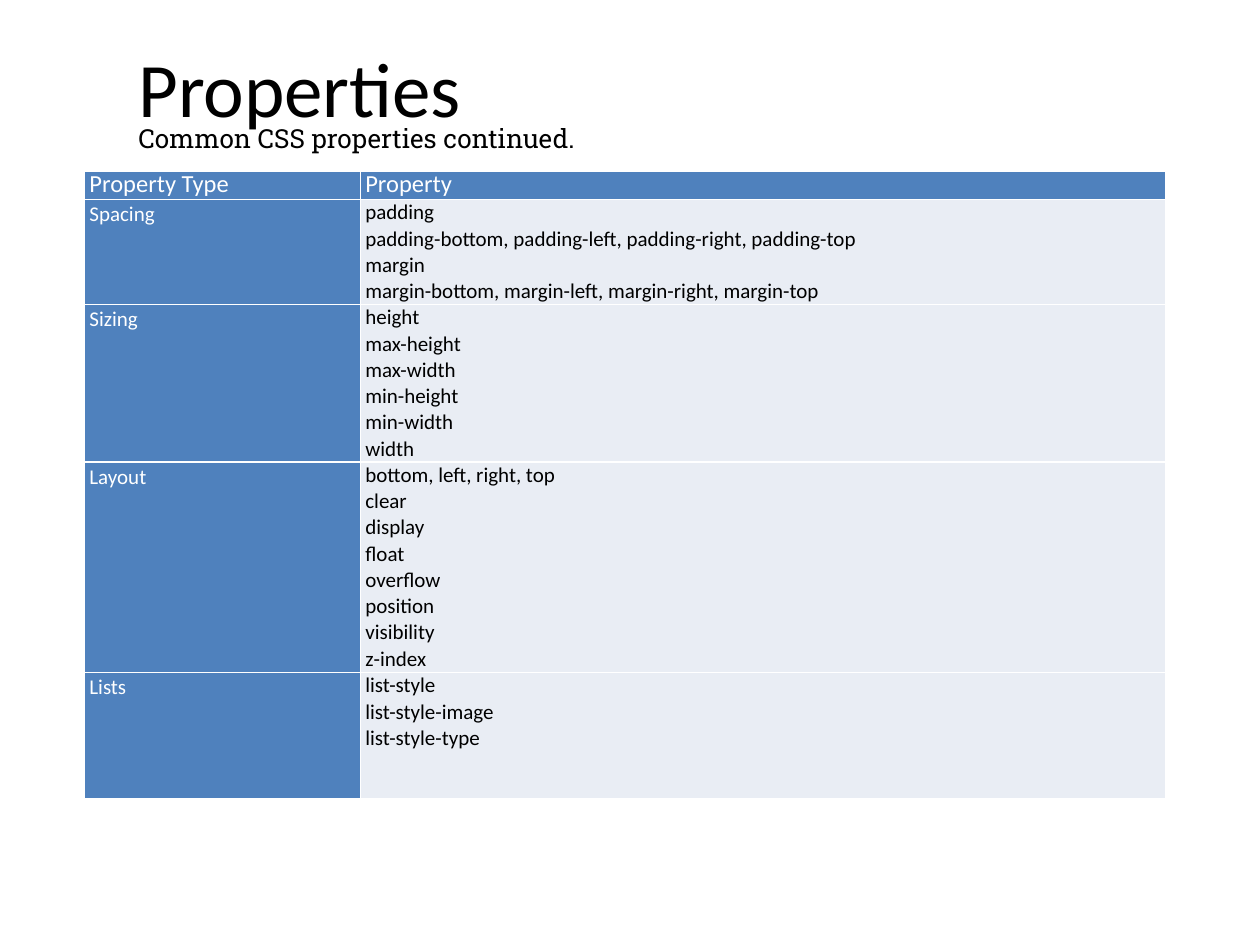
from lxml.etree import SubElement
from pptx import Presentation
from pptx.dml.color import RGBColor
from pptx.enum.text import MSO_ANCHOR
from pptx.oxml.ns import qn
from pptx.util import Inches, Pt

COLORS = {"blue": "4F81BD", "pale": "E9EDF4", "white": "FFFFFF", "black": "000000"}
HEADS = ["Property Type", "Property"]
GROUPS = {
    "Spacing": [
        "padding",
        "padding-bottom, padding-left, padding-right, padding-top",
        "margin",
        "margin-bottom, margin-left, margin-right, margin-top",
    ],
    "Sizing": ["height", "max-height", "max-width", "min-height", "min-width", "width"],
    "Layout": [
        "bottom, left, right, top", "clear", "display", "float",
        "overflow", "position", "visibility", "z-index",
    ],
    "Lists": ["list-style", "list-style-image", "list-style-type"],
}
COLS = [2.19, 6.39]
ROWS = [0.22, 0.83, 1.25, 1.67, 1]


def write(frame, lines, size, color, face="Calibri", pitch=None):
    """Fill a text frame with one paragraph per line."""
    frame.text = "\n".join(lines)
    for para in frame.paragraphs:
        para.font.size = Pt(size)
        para.font.name = face
        para.font.color.rgb = RGBColor.from_string(COLORS[color])
        if pitch:
            para.line_spacing = Pt(pitch)


def add_text(slide, box, text, size, face, anchor):
    """Add a wrapped line of black text in the given box."""
    frame = slide.shapes.add_textbox(*map(Inches, box)).text_frame
    frame.word_wrap = True
    frame.vertical_anchor = anchor
    write(frame, [text], size, "black", face)


def add_header(slide, left, top):
    """Place the title and the subtitle below it."""
    add_text(slide, (left, top, 8.5, 1.12), "Properties", 44, "Calibri", MSO_ANCHOR.MIDDLE)
    add_text(slide, (left, top + 0.79, 7, 0.33), "Common CSS properties continued.",
             15, "Roboto Slab", MSO_ANCHOR.TOP)


def style_cell(cell, fill):
    """Set the margins, white borders and fill of a cell."""
    cell.margin_left = cell.margin_right = Inches(0.04)
    cell.margin_top = cell.margin_bottom = 0
    props = cell._tc.get_or_add_tcPr()
    for side in ("a:lnL", "a:lnR", "a:lnT", "a:lnB"):
        line = SubElement(props, qn(side), w=str(Pt(1)))
        paint = SubElement(line, qn("a:solidFill"))
        SubElement(paint, qn("a:srgbClr"), val=COLORS["white"])
    cell.fill.solid()
    cell.fill.fore_color.rgb = RGBColor.from_string(COLORS[fill])


def add_grid(slide, left, top):
    """Place the table of property types and their properties."""
    box = map(Inches, (left, top, sum(COLS), sum(ROWS)))
    table = slide.shapes.add_table(len(ROWS), len(COLS), *box).table
    for col, width in zip(table.columns, COLS):
        col.width = Inches(width)
    for row, height in zip(table.rows, ROWS):
        row.height = Inches(height)
    for col, head in enumerate(HEADS):
        cell = table.cell(0, col)
        style_cell(cell, "blue")
        write(cell.text_frame, [head], 14, "white", pitch=16)
    for row, (group, names) in enumerate(GROUPS.items(), 1):
        label, items = table.cell(row, 0), table.cell(row, 1)
        style_cell(label, "blue")
        write(label.text_frame, [group], 12, "white", pitch=16)
        style_cell(items, "pale")
        write(items.text_frame, names, 12, "black", pitch=15)


def main():
    """Build and save the slide."""
    deck = Presentation()
    deck.slide_width, deck.slide_height = Inches(10), Inches(7.5)
    slide = deck.slides.add_slide(deck.slide_layouts[6])
    add_header(slide, 1, 0.13)
    add_grid(slide, 0.67, 1.36)
    deck.save("out.pptx")


if __name__ == "__main__":
    main()
